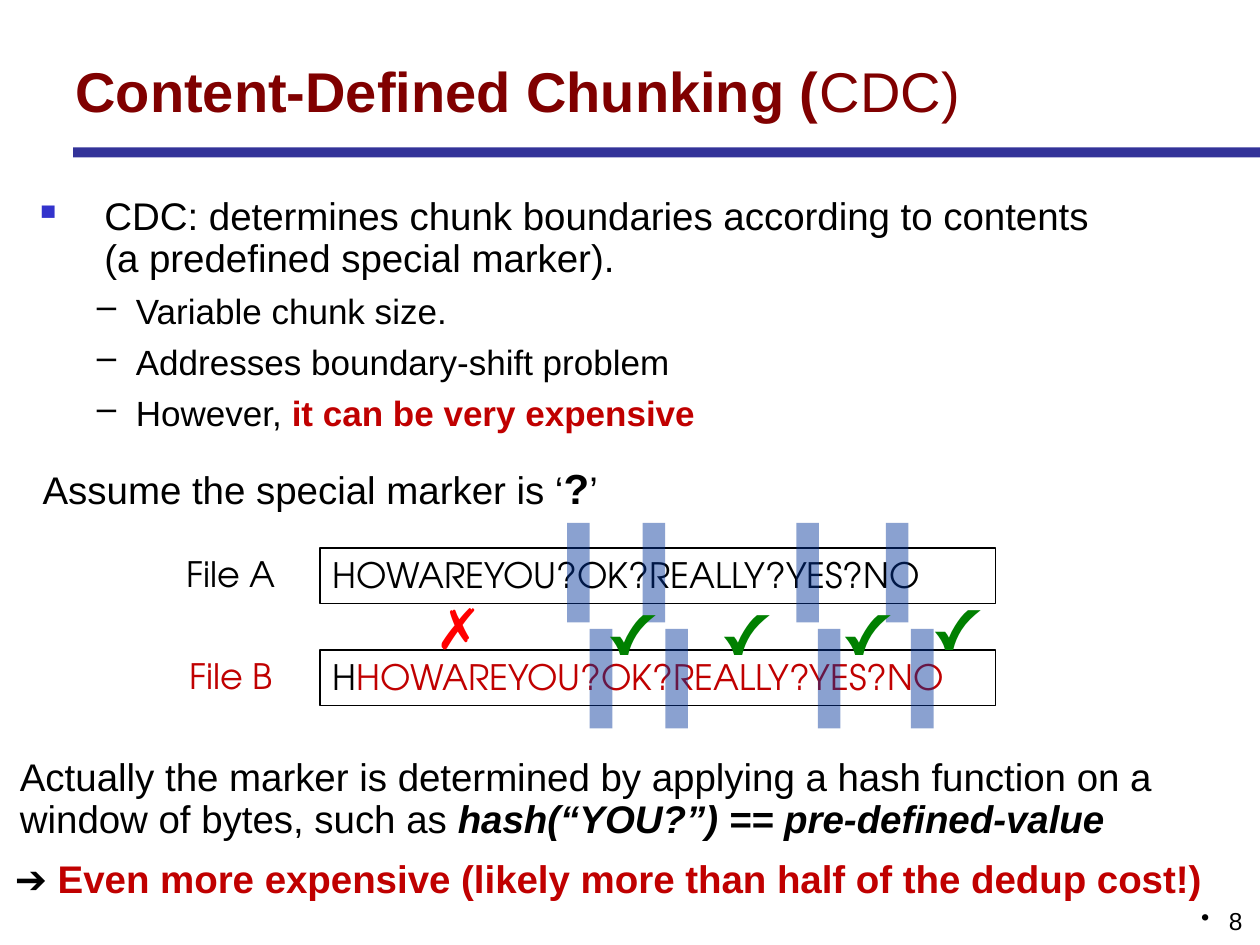
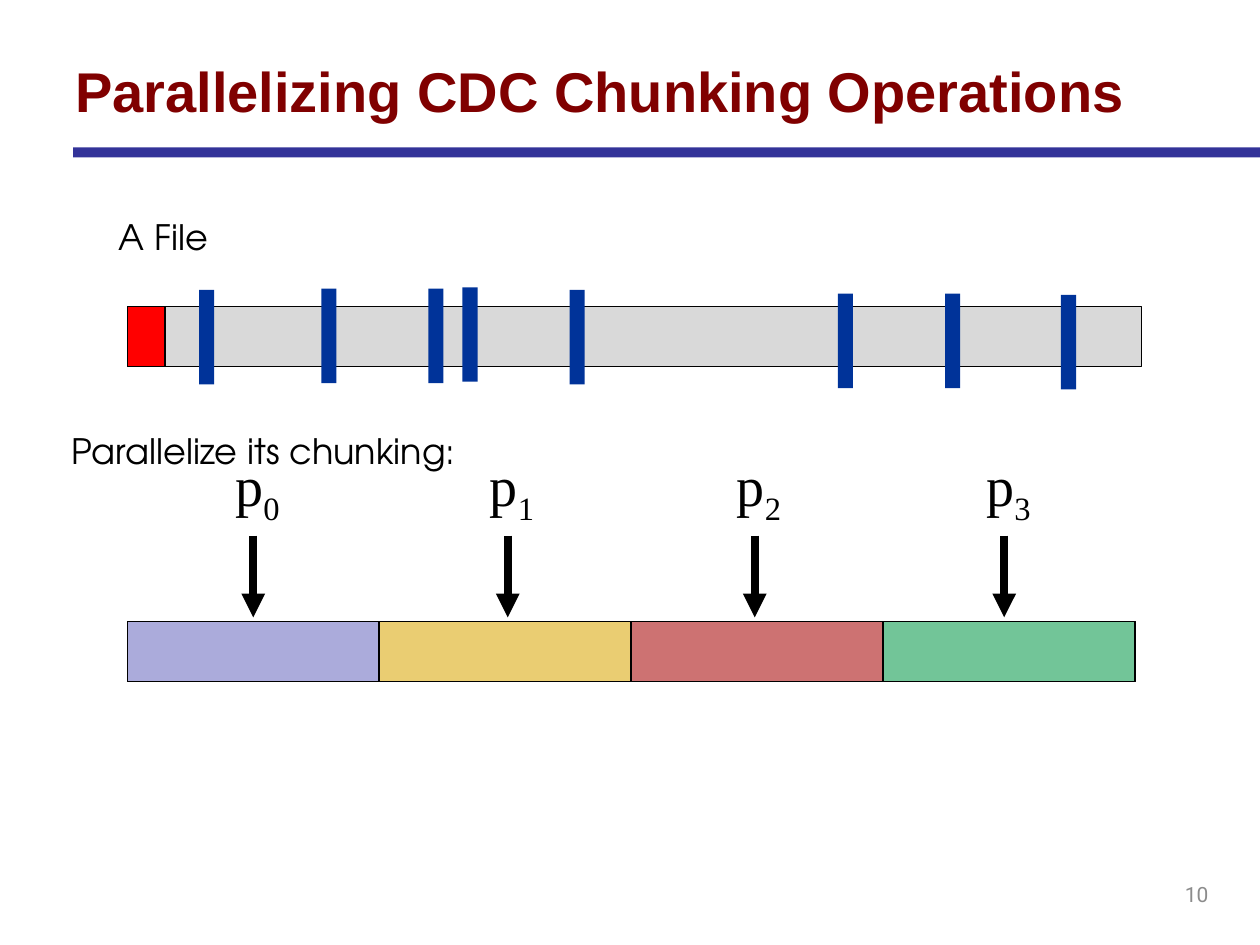
from dataclasses import dataclass

from lxml import etree
from pptx import Presentation
from pptx.dml.color import RGBColor
from pptx.enum.shapes import MSO_CONNECTOR, MSO_SHAPE
from pptx.enum.text import MSO_ANCHOR, PP_ALIGN
from pptx.oxml.ns import qn
from pptx.util import Inches, Pt

LEFT, CENTER, RIGHT = PP_ALIGN.LEFT, PP_ALIGN.CENTER, PP_ALIGN.RIGHT
TOP, MIDDLE = MSO_ANCHOR.TOP, MSO_ANCHOR.MIDDLE
RECT, STRAIGHT = MSO_SHAPE.RECTANGLE, MSO_CONNECTOR.STRAIGHT


@dataclass(frozen=True)
class Theme:
    black: str = "000000"
    title: str = "800000"
    band: str = "333399"
    bullet: str = "3333CC"
    accent: str = "C00000"
    marker: str = "003399"
    miss: str = "FF0000"
    match: str = "008000"
    strip: str = "D9D9D9"
    muted: str = "8C8C8C"
    segments: tuple = ("7878DE", "FFC000", "C00000", "00B050")
    body_font: str = "Arial"
    file_font: str = "TeX Gyre Adventor"
    process_font: str = "Times New Roman"
    number_font: str = "Roboto"
    title_size: int = 32
    body_size: int = 22
    sub_size: int = 20
    symbol_size: int = 32
    check_size: int = 35
    number_size: int = 14
    small_size: int = 12
    outline: float = 0.75
    arrow: float = 4.5


T = Theme()


def rgb(value):
    return RGBColor.from_string(value)


def set_bullet(p, char, left, hanging, color):
    pPr = p._p.get_or_add_pPr()
    pPr.set("marL", str(Inches(left)))
    pPr.set("indent", str(-Inches(hanging)))
    clr = etree.SubElement(pPr, qn("a:buClr"))
    etree.SubElement(clr, qn("a:srgbClr")).set("val", color)
    etree.SubElement(pPr, qn("a:buChar")).set("char", char)


def add_run(p, text, size=T.body_size, font=T.body_font, color=T.black,
            bold=False, italic=False, baseline=None):
    r = p.add_run()
    r.text = text
    r.font.size = Pt(size)
    r.font.name = font
    r.font.color.rgb = rgb(color)
    r.font.bold = bold
    r.font.italic = italic
    if baseline:
        r._r.get_or_add_rPr().set("baseline", str(baseline * 1000))


def add_paragraph(p, runs, align=LEFT, spacing=None, before=None, bullet=None, **fmt):
    """Fill p with runs, each a string or a (string, format changes) pair."""
    p.alignment = align
    if spacing:
        p.line_spacing = spacing
    if before:
        p.space_before = Pt(before)
    if bullet:
        set_bullet(p, *bullet)
    for run in [runs] if isinstance(runs, str) else runs:
        text, changes = (run, {}) if isinstance(run, str) else run
        add_run(p, text, **{**fmt, **changes})


def add_text(slide, box, runs, anchor=TOP, **fmt):
    """Add a text box with one paragraph and return its text frame."""
    tf = slide.shapes.add_textbox(*map(Inches, box)).text_frame
    tf.word_wrap = True
    tf.vertical_anchor = anchor
    add_paragraph(tf.paragraphs[0], runs, **fmt)
    return tf


def add_rect(slide, box, fill=None, alpha=None, outlined=False):
    s = slide.shapes.add_shape(RECT, *map(Inches, box))
    s.shadow.inherit = False
    if fill:
        s.fill.solid()
        s.fill.fore_color.rgb = rgb(fill)
    else:
        s.fill.background()
    if alpha:
        clr = s._element.spPr.find(".//" + qn("a:srgbClr"))
        etree.SubElement(clr, qn("a:alpha")).set("val", str(alpha * 1000))
    if outlined:
        s.line.color.rgb = rgb(T.black)
        s.line.width = Pt(T.outline)
    else:
        s.line.fill.background()


def add_down_arrow(slide, x, top, bottom):
    c = slide.shapes.add_connector(STRAIGHT, *map(Inches, (x, top, x, bottom)))
    c.line.color.rgb = rgb(T.black)
    c.line.width = Pt(T.arrow)
    etree.SubElement(c.line._get_or_add_ln(), qn("a:tailEnd")).set("type", "triangle")
    etree.SubElement(c._element.spPr, qn("a:effectLst"))


def add_titled_slide(prs, title):
    slide = prs.slides.add_slide(prs.slide_layouts[6])
    add_rect(slide, (0.58, 1.17, 9.42, 0.08), T.band)
    add_text(slide, (0.5, 0.17, 9.22, 1.09), title, anchor=MIDDLE,
             size=T.title_size, color=T.title, bold=True)
    return slide


def add_file_label(slide, box, text, color=T.black, align=CENTER):
    add_text(slide, box, text, anchor=MIDDLE, align=align, spacing=0.9,
             size=T.sub_size, font=T.file_font, color=color)


def add_definition(slide, box):
    tf = add_text(slide, box,
                  "CDC: determines chunk boundaries according to contents "
                  "(a predefined special marker).",
                  spacing=0.9, bullet=("▪", 0.56, 0.56, T.bullet))
    for runs in ("Variable chunk size.",
                 "Addresses boundary-shift problem",
                 ["However, ", ("it can be very expensive",
                                {"color": T.accent, "bold": True})]):
        add_paragraph(tf.add_paragraph(), runs, before=5, size=T.sub_size,
                      bullet=("–", 0.81, 0.31, T.black))


def add_file_row(slide, box, label, pieces, color=T.black):
    """Draw a framed row; pieces are (offset, text, color) inside it."""
    x, y, w, h = box
    add_rect(slide, box, outlined=True)
    add_file_label(slide, (x - 1.53, y - 0.17, 1.65, 0.79), label, color)
    for offset, text, piece_color in pieces:
        add_text(slide, (x + offset, y - 0.01, w, h), text, size=T.sub_size,
                 font=T.file_font, color=piece_color)


def add_chunk_comparison(slide, box):
    x, y, w, h = box
    row_h, row_b = 0.44, y + h - 0.44
    content = "HOWAREYOU?OK?REALLY?YES?NO"
    add_file_row(slide, (x, y, w, row_h), "File A", [(0, content, T.black)])
    add_file_row(slide, (x, row_b, w, row_h), "File B",
                 [(0.19, content, T.accent), (0, "H", T.black)], T.accent)

    for row_y, offsets in ((y - 0.2, (1.96, 2.56, 3.78, 4.49)),
                           (row_b - 0.17, (2.14, 2.74, 3.95, 4.69))):
        for offset in offsets:
            add_rect(slide, (x + offset, row_y, 0.18, 0.79), T.marker, alpha=46)

    add_text(slide, (x + 0.82, y + 0.31, 0.56, 0.64), "✗", size=T.symbol_size,
             font=T.file_font, color=T.miss)
    for dx, dy in ((2.17, 0.32), (3.07, 0.32), (4.03, 0.32), (4.75, 0.28)):
        add_text(slide, (x + dx, y + dy, 0.56, 0.69), "✓", size=T.check_size,
                 font=T.file_font, color=T.match, bold=True)


def build_cdc_slide(prs):
    slide = add_titled_slide(
        prs, ["Content-Defined Chunking (", ("CDC)", {"bold": False})])
    add_definition(slide, (0.17, 1.52, 8.75, 1.89))
    add_text(slide, (0.24, 3.67, 5, 0.61),
             ["Assume the special marker is ‘", ("?", {"size": 24, "bold": True}), "’"],
             spacing=0.9)
    add_chunk_comparison(slide, (2.54, 4.35, 5.36, 1.25))
    add_text(slide, (0.06, 5.97, 9.76, 0.81),
             ["Actually the marker is determined by applying a hash function on a "
              "window of bytes, such as ",
              ("hash(“YOU?”) == pre-defined-value", {"bold": True, "italic": True})],
             spacing=0.9)
    add_text(slide, (0.02, 6.78, 9.76, 0.63),
             ["➔ ", ("Even more expensive (likely more than half of the dedup cost!)",
                     {"color": T.accent, "bold": True})],
             spacing=0.9)
    add_text(slide, (7.88, 7.14, 2.08, 0.36), "8", align=RIGHT, size=T.number_size,
             bullet=("•", 0.22, 0.22, T.black))


def add_marked_file(slide, box):
    x, y, w, h = box
    add_rect(slide, box, T.strip, outlined=True)
    for dx, rise in ((0.57, 0.13), (1.54, 0.14), (2.39, 0.14), (2.66, 0.15),
                     (3.51, 0.13), (5.64, 0.1), (6.49, 0.1), (7.41, 0.09)):
        add_rect(slide, (x + dx, y - rise, 0.12, 0.75), T.marker)
    add_rect(slide, (x, y, 0.3, h), T.miss, outlined=True)


def add_parallel_file(slide, box):
    """Split the file evenly, with one process pointing at each segment."""
    x, y, w, h = box
    add_rect(slide, box, T.strip, outlined=True)
    segment_w = w / len(T.segments)
    for i, (color, dx) in enumerate(zip(T.segments, (1, 3.02, 4.98, 6.96))):
        add_rect(slide, (x + i * segment_w, y, segment_w, h), color,
                 alpha=47, outlined=True)
        add_text(slide, (x + dx - 0.24, y - 1.4, 0.71, 0.64),
                 ["p", (str(i), {"baseline": -25})],
                 size=T.symbol_size, font=T.process_font)
        add_down_arrow(slide, x + dx, y - 0.68, y - 0.03)


def build_parallel_slide(prs):
    slide = add_titled_slide(prs, "Parallelizing CDC Chunking Operations")
    add_file_label(slide, (0.47, 1.5, 1.65, 0.79), "A File")
    add_marked_file(slide, (1.01, 2.43, 8.05, 0.48))
    add_file_label(slide, (0.47, 3.2, 4, 0.79), "Parallelize its chunking:", align=LEFT)
    add_parallel_file(slide, (1.01, 4.93, 8, 0.48))
    add_text(slide, (6.69, 6.9, 3, 0.4), "10", anchor=MIDDLE, align=RIGHT,
             size=T.small_size, font=T.number_font, color=T.muted)


def main():
    prs = Presentation()
    prs.slide_width, prs.slide_height = Inches(10), Inches(7.5)
    build_cdc_slide(prs)
    build_parallel_slide(prs)
    prs.save("out.pptx")


if __name__ == "__main__":
    main()
